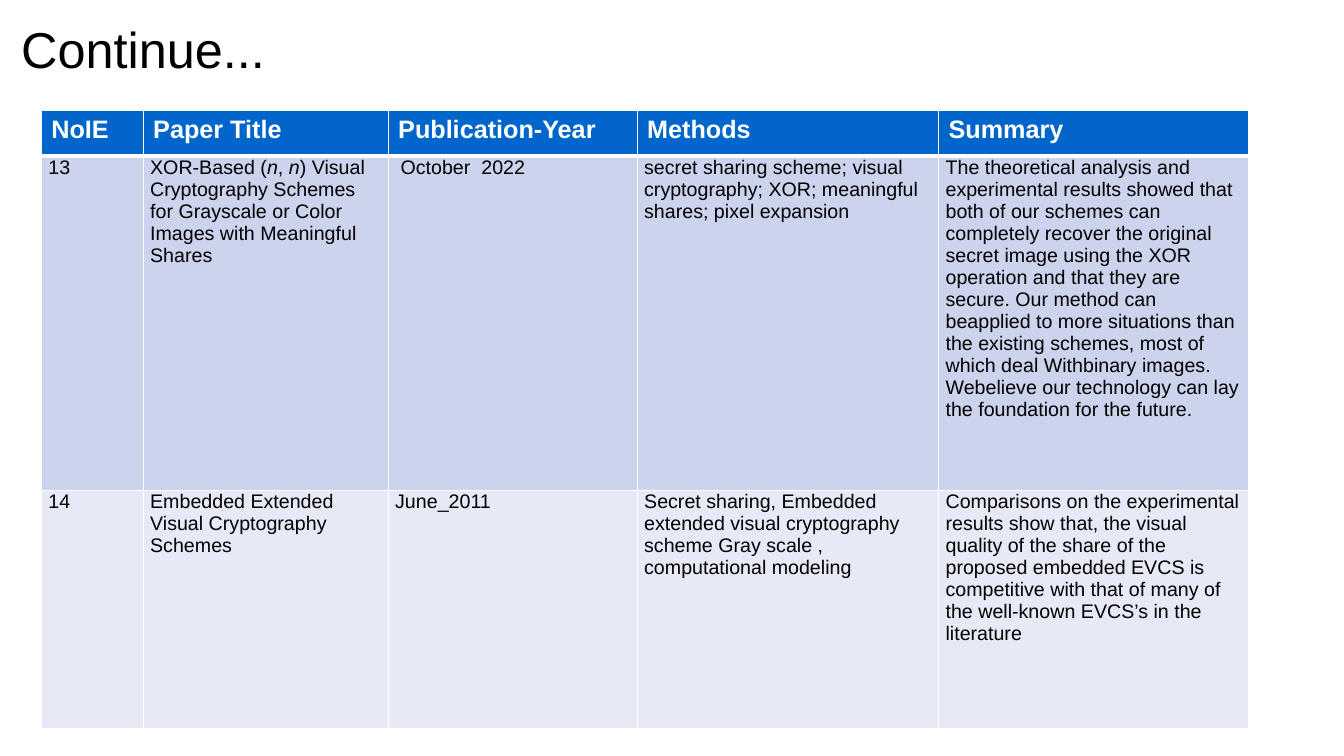
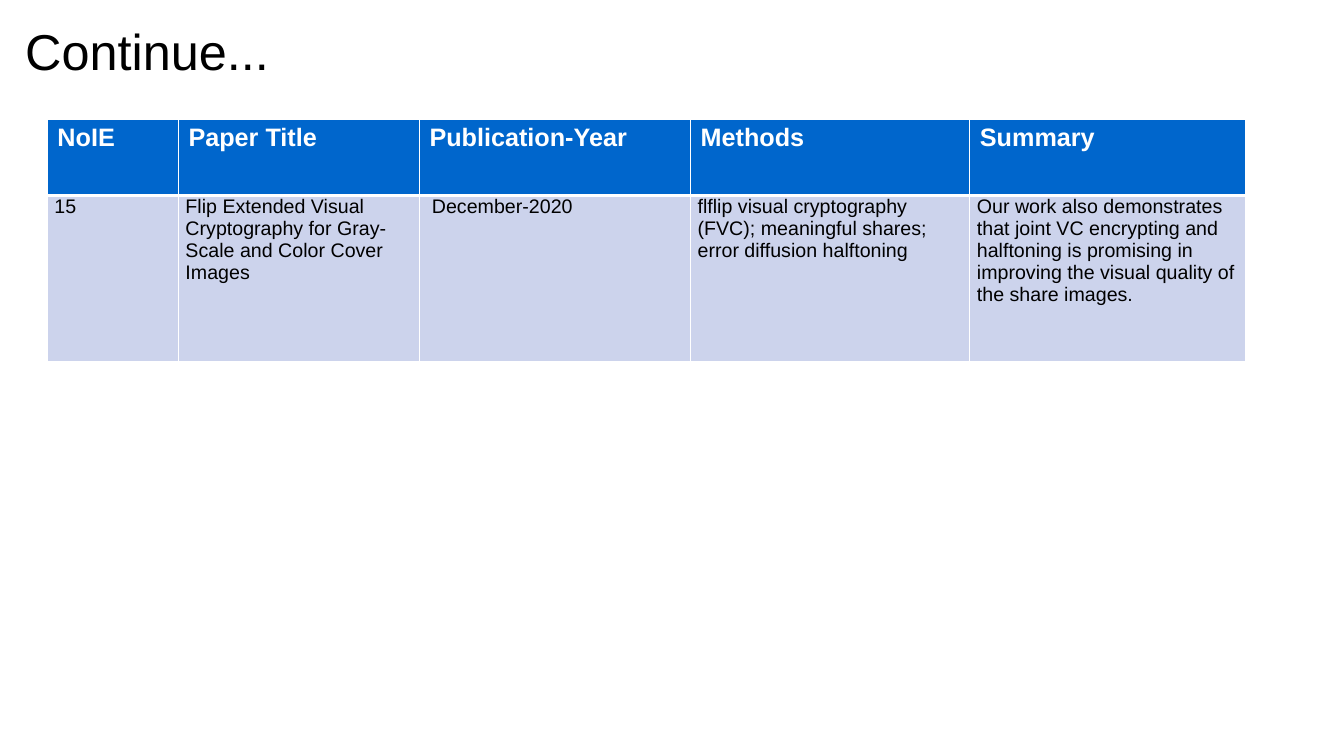
from lxml import etree
from pptx import Presentation
from pptx.dml.color import RGBColor
from pptx.enum.text import MSO_ANCHOR, MSO_AUTO_SIZE, PP_ALIGN
from pptx.oxml.ns import qn
from pptx.util import Inches, Pt

LEFT = PP_ALIGN.LEFT
TOP = MSO_ANCHOR.TOP
MIDDLE = MSO_ANCHOR.MIDDLE
NO_AUTOFIT = MSO_AUTO_SIZE.NONE

WHITE, BLACK = "FFFFFF", "000000"
HEADER_FILL = "0066CC"
BAND_FILLS = ["CCD3EC", "E7EAF6"]
TITLE_FONT = {"name": "Arial", "size": Pt(36), "bold": False}
HEADER_FONT = {"name": "Arial", "size": Pt(18), "bold": True}
BODY_FONT = {"name": "Arial", "size": Pt(14), "bold": False}
BODY_MARGINS = {
    "margin_left": Inches(0.07),
    "margin_right": Inches(0.07),
    "margin_top": 0,
    "margin_bottom": 0,
}
HEADINGS = ["NoIE", "Paper Title", "Publication-Year", "Methods", "Summary"]

SLIDES = [
    {
        "title_box": (0.11, 0, 10.29, 1.53),
        "title_bottom_margin": 0.62,
        "table_corner": (0.41, 1.1),
        "widths": [1.01, 2.43, 2.47, 2.99, 3.07],
        "heights": [0.45, 3.32, 2.36],
        "papers": [
            [
                "13",
                "XOR-Based (*n*, *n*) Visual Cryptography Schemes for Grayscale "
                "or Color Images with Meaningful Shares",
                " October  2022",
                "secret sharing scheme; visual cryptography; XOR; meaningful "
                "shares; pixel expansion",
                "The theoretical analysis and experimental results showed that "
                "both of our schemes can completely recover the original secret "
                "image using the XOR operation and that they are secure. Our "
                "method can beapplied to more situations than the existing "
                "schemes, most of which deal Withbinary images. Webelieve our "
                "technology can lay the foundation for the future.",
            ],
            [
                "14",
                "Embedded Extended Visual Cryptography Schemes",
                "June_2011",
                "Secret sharing, Embedded extended visual cryptography scheme "
                "Gray scale , computational modeling",
                "Comparisons on the experimental results show that, the visual "
                "quality of the share of the proposed embedded EVCS is "
                "competitive with that of many of the well-known EVCS’s in the "
                "literature",
            ],
        ],
    },
    {
        "title_box": (0.15, 0.18, 10.29, 0.64),
        "title_bottom_margin": 0.05,
        "table_corner": (0.47, 1.18),
        "widths": [1.3, 2.39, 2.69, 2.77, 2.73],
        "heights": [0.76, 1.65],
        "papers": [
            [
                "15",
                "Flip Extended Visual Cryptography for Gray-Scale and Color "
                "Cover Images",
                " December-2020",
                "flflip visual cryptography (FVC); meaningful shares; error "
                "diffusion halftoning",
                "Our work also demonstrates that joint VC encrypting and "
                "halftoning is promising in improving the visual quality of the "
                "share images.",
            ],
        ],
    },
]


def color(value):
    return RGBColor.from_string(value)


def set_all(target, values):
    for name, value in values.items():
        setattr(target, name, value)


def write_text(frame, text, font, text_color):
    para = frame.paragraphs[0]
    para.alignment = LEFT
    for index, part in enumerate(text.split("*")):
        span = para.add_run()
        span.text = part
        set_all(span.font, font)
        span.font.color.rgb = color(text_color)
        if index % 2:
            span.font.italic = True


def add_borders(cell, widths):
    properties = cell._tc.get_or_add_tcPr()
    for side, width in widths.items():
        line = etree.SubElement(properties, qn(f"a:ln{side}"), w=str(Pt(width)))
        fill = etree.SubElement(line, qn("a:solidFill"))
        etree.SubElement(fill, qn("a:srgbClr"), val=WHITE)


def add_title(page, box, bottom_margin):
    title = page.shapes.title
    title.left, title.top, title.width, title.height = map(Inches, box)
    set_all(title.text_frame, {
        "auto_size": NO_AUTOFIT,
        "word_wrap": True,
        "vertical_anchor": MIDDLE,
        "margin_bottom": Inches(bottom_margin),
    })
    write_text(title.text_frame, "Continue...", TITLE_FONT, BLACK)


def fill_cell(cell, text, row):
    is_header = row == 0
    add_borders(cell, {"L": 1, "R": 1, "T": 3 if row == 1 else 1,
                       "B": 3 if is_header else 1})
    cell.fill.solid()
    band = BAND_FILLS[(row - 1) % len(BAND_FILLS)]
    cell.fill.fore_color.rgb = color(HEADER_FILL if is_header else band)
    cell.vertical_anchor = TOP
    if is_header:
        write_text(cell.text_frame, text, HEADER_FONT, WHITE)
    else:
        set_all(cell, BODY_MARGINS)
        write_text(cell.text_frame, text, BODY_FONT, BLACK)


def add_paper_table(page, corner, widths, heights, papers):
    rows = [HEADINGS] + papers
    box = (*corner, sum(widths), sum(heights))
    table = page.shapes.add_table(
        len(rows), len(HEADINGS), *map(Inches, box)).table
    for column, width in zip(table.columns, widths):
        column.width = Inches(width)
    for row, height in zip(table.rows, heights):
        row.height = Inches(height)
    for row, texts in enumerate(rows):
        for column, text in enumerate(texts):
            fill_cell(table.cell(row, column), text, row)


def main():
    deck = Presentation()
    deck.slide_width, deck.slide_height = Inches(13.33), Inches(7.5)
    title_only = deck.slide_layouts.get_by_name("Title Only")
    for content in SLIDES:
        page = deck.slides.add_slide(title_only)
        add_title(page, content["title_box"], content["title_bottom_margin"])
        add_paper_table(page, content["table_corner"], content["widths"],
                        content["heights"], content["papers"])
    deck.save("out.pptx")


if __name__ == "__main__":
    main()
